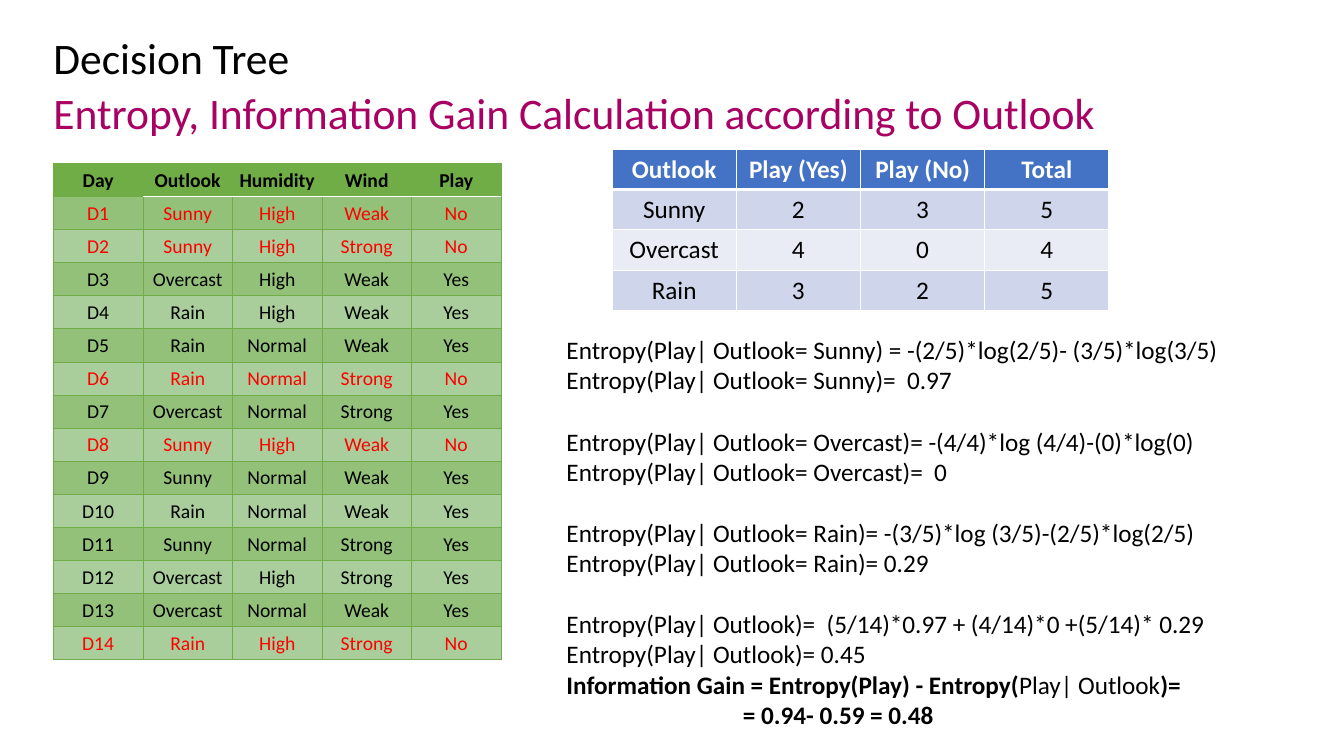
"""Build the slide on entropy and information gain for the Outlook attribute."""
from lxml import etree
from pptx import Presentation
from pptx.dml.color import RGBColor
from pptx.enum.text import MSO_ANCHOR, PP_ALIGN
from pptx.oxml.ns import qn
from pptx.util import Inches, Pt

CENTER = PP_ALIGN.CENTER
TOP, MIDDLE = MSO_ANCHOR.TOP, MSO_ANCHOR.MIDDLE

THEME = {
    "font": "Calibri",
    "black": "000000", "white": "FFFFFF", "red": "FF0000", "magenta": "A80163",
    "green": "70AD47", "green_bands": ("93C17A", "A9CE9B"),
    "blue": "4472C4", "blue_bands": ("CFD5EA", "E9EBF5"),
    "title_size": 31.1, "body_size": 18, "data_size": 14, "gap": 22,
}


def add_span(para, text, size, color, bold=False):
    span = para.add_run()
    span.text = text
    formats = {"name": THEME["font"], "size": Pt(size), "bold": bold}
    for name, value in formats.items():
        setattr(span.font, name, value)
    span.font.color.rgb = RGBColor.from_string(color)


def style_cell(cell, text, look, fill, color, bold, edges):
    for name, value in look["cell"].items():
        setattr(cell, name, value)
    para = cell.text_frame.paragraphs[0]
    para.alignment = CENTER
    add_span(para, text, look["size"], color, bold)
    cell.fill.solid()
    cell.fill.fore_color.rgb = RGBColor.from_string(fill)
    properties = cell._tc.get_or_add_tcPr()
    for index, side in enumerate("LRTB"):
        edge_color, width = edges.get(side, look["edge"])
        line = etree.Element(qn(f"a:ln{side}"), w=str(Pt(width)))
        solid = etree.SubElement(line, qn("a:solidFill"))
        etree.SubElement(solid, qn("a:srgbClr"), val=edge_color)
        properties.insert(index, line)


WEATHER = [
    "Day Outlook Humidity Wind Play",
    "D1 Sunny High Weak No",
    "D2 Sunny High Strong No",
    "D3 Overcast High Weak Yes",
    "D4 Rain High Weak Yes",
    "D5 Rain Normal Weak Yes",
    "D6 Rain Normal Strong No",
    "D7 Overcast Normal Strong Yes",
    "D8 Sunny High Weak No",
    "D9 Sunny Normal Weak Yes",
    "D10 Rain Normal Weak Yes",
    "D11 Sunny Normal Strong Yes",
    "D12 Overcast High Strong Yes",
    "D13 Overcast Normal Weak Yes",
    "D14 Rain High Strong No",
]
COUNTS = [
    ["Outlook", "Play (Yes)", "Play (No)", "Total"],
    ["Sunny", "2", "3", "5"],
    ["Overcast", "4", "0", "4"],
    ["Rain", "3", "2", "5"],
]
TABLES = [
    {
        "rows": [row.split() for row in WEATHER], "at": (0.53, 1.62, 4.44, 4.93),
        "header": THEME["green"], "header_text": THEME["black"],
        "bands": THEME["green_bands"], "size": THEME["data_size"],
        "edge": (THEME["green"], 0.5), "rule": (THEME["white"], 1), "rule_from": 1,
        "cell": {
            "vertical_anchor": MIDDLE, "margin_left": Inches(0.01),
            "margin_top": Inches(0.01), "margin_right": Inches(0.01), "margin_bottom": 0,
        },
    },
    {
        "rows": COUNTS, "at": (6.07, 1.48, 4.93, 1.6),
        "header": THEME["blue"], "header_text": THEME["white"],
        "bands": THEME["blue_bands"], "size": THEME["body_size"],
        "edge": (THEME["white"], 1), "rule": (THEME["white"], 3), "rule_from": 0,
        "cell": {"vertical_anchor": TOP},
    },
]
TITLES = [
    ("Decision Tree", 0.37, THEME["black"]),
    ("Entropy, Information Gain Calculation according to Outlook", 0.92, THEME["magenta"]),
]
FORMULA_GROUPS = [
    [
        [("Entropy(Play| Outlook= Sunny) = -(2/5)*log(2/5)- (3/5)*log(3/5)", False)],
        [("Entropy(Play| Outlook= Sunny)=  0.97", False)],
    ],
    [
        [("Entropy(Play| Outlook= Overcast)= -(4/4)*log (4/4)-(0)*log(0)", False)],
        [("Entropy(Play| Outlook= Overcast)=  0", False)],
    ],
    [
        [("Entropy(Play| Outlook= Rain)= -(3/5)*log (3/5)-(2/5)*log(2/5)", False)],
        [("Entropy(Play| Outlook= Rain)= 0.29", False)],
    ],
    [
        [("Entropy(Play| Outlook)=  (5/14)*0.97 + (4/14)*0 +(5/14)* 0.29", False)],
        [("Entropy(Play| Outlook)= 0.45", False)],
        [
            ("Information Gain = Entropy(Play) - Entropy(", True),
            ("Play| Outlook", False),
            (")=", True),
        ],
        [("= 0.94- 0.59 = 0.48", True)],
    ],
]

deck = Presentation()
deck.slide_width, deck.slide_height = Inches(13.33), Inches(7.5)
page = deck.slides.add_slide(deck.slide_layouts[6])

for title, top, color in TITLES:
    box = page.shapes.add_textbox(Inches(0.53), Inches(top), Inches(12.7), Inches(0.47))
    frame = box.text_frame
    frame.word_wrap = True
    for side in ("left", "top", "right", "bottom"):
        setattr(frame, f"margin_{side}", 0)
    para = frame.paragraphs[0]
    para.line_spacing = 0.89
    add_span(para, title, THEME["title_size"], color)

box = page.shapes.add_textbox(Inches(5.52), Inches(3.27), Inches(7.39), Inches(4.04))
frame = box.text_frame
frame.word_wrap = True
para = frame.paragraphs[0]
for group_index, group in enumerate(FORMULA_GROUPS):
    for line_index, formula in enumerate(group):
        if group_index or line_index:
            para = frame.add_paragraph()
        if group_index and line_index == 0:
            para.space_before = Pt(THEME["gap"])
        for text, bold in formula:
            add_span(para, text, THEME["body_size"], THEME["black"], bold)
para._p.get_or_add_pPr().set("marL", str(Inches(1.75)))

for look in TABLES:
    rows = look["rows"]
    place = [Inches(length) for length in look["at"]]
    table = page.shapes.add_table(len(rows), len(rows[0]), *place).table
    table.first_row = table.horz_banding = False
    for row_index, row in enumerate(rows):
        is_header = row_index == 0
        fill = look["header"] if is_header else look["bands"][(row_index - 1) % 2]
        color = THEME["red"] if row[-1] == "No" else THEME["black"]
        if is_header:
            color = look["header_text"]
        for column, text in enumerate(row):
            edges = {}
            if row_index < 2 and column >= look["rule_from"]:
                edges["B" if is_header else "T"] = look["rule"]
            style_cell(table.cell(row_index, column), text, look, fill, color, is_header, edges)

deck.save("out.pptx")
